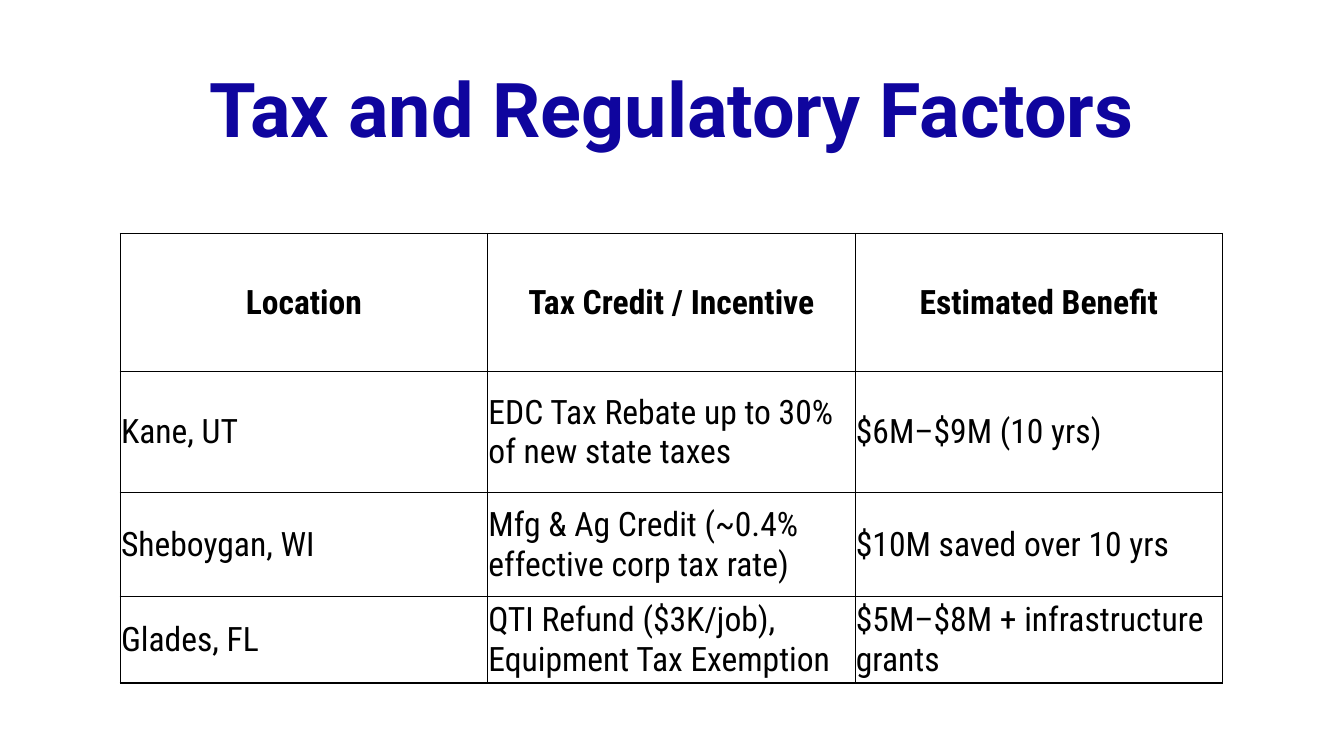
"""Build a slide with a table of tax incentives by location."""
from dataclasses import dataclass

from lxml import etree
from pptx import Presentation
from pptx.dml.color import RGBColor
from pptx.enum import text
from pptx.oxml import ns
from pptx.util import Cm, Pt


@dataclass(frozen=True)
class Theme:
    title_font: str = "Roboto"
    body_font: str = "Roboto Condensed"
    title_size: int = 54
    body_size: int = 24
    border_width: int = 1
    title_color: str = "0F059E"
    ink: str = "000000"
    paper: str = "FFFFFF"


THEME = Theme()
ROW_HEIGHTS = (3.48, 3.05, 2.62, 2.18)
COLUMN_WIDTH = 9.26
INCENTIVES = (
    ("Location", "Tax Credit / Incentive", "Estimated Benefit"),
    ("Kane, UT", "EDC Tax Rebate up to 30% of new state taxes", "$6M–$9M (10 yrs)"),
    ("Sheboygan, WI", "Mfg & Ag Credit (~0.4% effective corp tax rate)",
     "$10M saved over 10 yrs"),
    ("Glades, FL", "QTI Refund ($3K/job), Equipment Tax Exemption",
     "$5M–$8M + infrastructure grants"),
)


def style_paragraph(p, font, size, color, bold, align):
    p.alignment = align
    p.font.name = font
    p.font.size = Pt(size)
    p.font.bold = bold
    p.font.color.rgb = RGBColor.from_string(color)


def add_title(s, title):
    sp = s.shapes.title
    sp.left, sp.top, sp.width, sp.height = Cm(2.33), Cm(1.01), Cm(29.21), Cm(3.68)
    tf = sp.text_frame
    tf.text = title
    tf.word_wrap = True
    tf.auto_size = text.MSO_AUTO_SIZE.NONE
    tf.vertical_anchor = text.MSO_ANCHOR.MIDDLE
    p = tf.paragraphs[0]
    p.line_spacing = 0.9
    style_paragraph(p, THEME.title_font, THEME.title_size, THEME.title_color,
                    True, text.PP_ALIGN.CENTER)


def add_borders(cell):
    tc_pr = cell._tc.get_or_add_tcPr()
    for side in ("a:lnL", "a:lnR", "a:lnT", "a:lnB"):
        ln = etree.SubElement(tc_pr, ns.qn(side), w=str(Pt(THEME.border_width)))
        fill = etree.SubElement(ln, ns.qn("a:solidFill"))
        etree.SubElement(fill, ns.qn("a:srgbClr"), val=THEME.ink)


def fill_cell(cell, value, is_header):
    cell.text = value
    cell.vertical_anchor = text.MSO_ANCHOR.MIDDLE
    cell.margin_left = cell.margin_right = cell.margin_top = Cm(0.02)
    cell.margin_bottom = 0
    add_borders(cell)
    cell.fill.solid()
    cell.fill.fore_color.rgb = RGBColor.from_string(THEME.paper)
    align = text.PP_ALIGN.CENTER if is_header else text.PP_ALIGN.LEFT
    style_paragraph(cell.text_frame.paragraphs[0], THEME.body_font,
                    THEME.body_size, THEME.ink, is_header, align)


def add_incentive_table(s, rows):
    columns = len(rows[0])
    table = s.shapes.add_table(len(rows), columns, Cm(3.03), Cm(5.88),
                               Cm(COLUMN_WIDTH * columns), Cm(sum(ROW_HEIGHTS))).table
    for column in table.columns:
        column.width = Cm(COLUMN_WIDTH)
    for i, (height, values) in enumerate(zip(ROW_HEIGHTS, rows)):
        table.rows[i].height = Cm(height)
        for j, value in enumerate(values):
            fill_cell(table.cell(i, j), value, i == 0)


def main():
    prs = Presentation()
    prs.slide_width, prs.slide_height = Cm(33.87), Cm(19.05)
    s = prs.slides.add_slide(prs.slide_layouts.get_by_name("Title Only"))
    add_title(s, "Tax and Regulatory Factors")
    add_incentive_table(s, INCENTIVES)
    prs.save("out.pptx")


if __name__ == "__main__":
    main()
